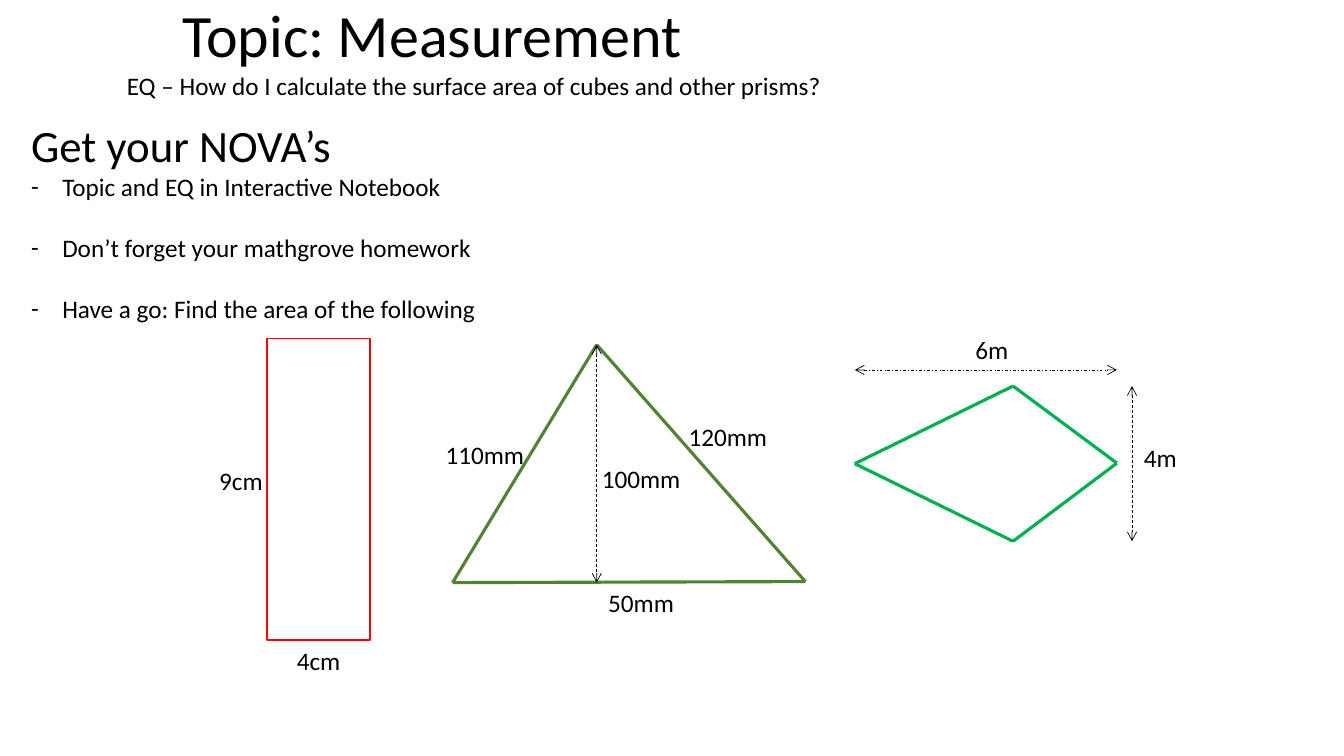
from itertools import pairwise
from lxml.etree import SubElement
from pptx import Presentation
from pptx.dml.color import RGBColor
from pptx.enum.dml import MSO_LINE
from pptx.enum.shapes import MSO_CONNECTOR, MSO_SHAPE
from pptx.enum.text import MSO_ANCHOR, PP_ALIGN
from pptx.oxml.ns import qn
from pptx.util import Inches, Pt

COLORS = {"ink": "000000", "paper": "FFFFFF", "rectangle": "FF0000",
          "triangle": "548235", "kite": "00B050"}
FONT = "Calibri"
COLS, ROWS = 133.33, 75
CELL = Inches(0.1)

TITLE = ("Topic: Measurement", (17.1, -0.8, 100, 9.2), 42.9)
QUESTION = ("EQ – How do I calculate the surface area of cubes and other prisms?",
            (11.6, 6.5, 93.8, 4), 18)
HEADING = ("Get your NOVA’s", (2.1, 11.2, 127.4, 21.5), 32)
TASKS = ["Topic and EQ in Interactive Notebook",
         "Don’t forget your mathgrove homework",
         "Have a go: Find the area of the following"]

RECTANGLE = (26.5, 33.6, 10.2, 29.9)
APEX, BASE_LEFT, BASE_RIGHT = (59.2, 34.2), (44.9, 57.8), (79.9, 57.7)
KITE_LEFT, KITE_TOP, KITE_RIGHT, KITE_BOTTOM = (
    (84.8, 46), (100.5, 38.3), (110.8, 45.95), (100.5, 53.7))
OUTLINES = [
    ("triangle", [APEX, BASE_RIGHT, BASE_LEFT, APEX]),
    ("kite", [KITE_LEFT, KITE_TOP, KITE_RIGHT, KITE_BOTTOM, KITE_LEFT]),
]
DIMENSIONS = [
    (APEX, (APEX[0], BASE_LEFT[1]), MSO_LINE.DASH),
    ((112.3, KITE_TOP[1]), (112.3, KITE_BOTTOM[1]), MSO_LINE.DASH),
    ((KITE_LEFT[0], 36.7), (KITE_RIGHT[0], 36.7), MSO_LINE.DASH_DOT),
]
LABEL_SIZE = (10.2, 4)
LABELS = [("4cm", 26.5, 63.5), ("9cm", 18.8, 45.7), ("50mm", 58.5, 57.8),
          ("110mm", 43, 43.1), ("120mm", 67.1, 41.3), ("100mm", 58.5, 45.5),
          ("6m", 93.3, 32.7), ("4m", 110, 43.4)]


def grid(*cells):
    return [round(c * CELL) for c in cells]


def color(name):
    return RGBColor.from_string(COLORS[name])


def style(p, size):
    for r in p.runs:
        r.font.name, r.font.size = FONT, Pt(size)
        r.font.color.rgb = color("ink")


def add_text(slide, text, box, size, align=PP_ALIGN.LEFT):
    tf = slide.shapes.add_textbox(*grid(*box)).text_frame
    tf.word_wrap = True
    p = tf.paragraphs[0]
    p.text, p.alignment = text, align
    style(p, size)
    return tf


def add_line(slide, start, end, name, width):
    line = slide.shapes.add_connector(MSO_CONNECTOR.STRAIGHT, *grid(*start, *end))
    line.line.color.rgb = color(name)
    line.line.width = Pt(width)
    SubElement(line._element.spPr, qn("a:effectLst"))
    return line


def add_dimension(slide, start, end, dash):
    line = add_line(slide, start, end, "ink", 0.5)
    line.line.dash_style = dash
    ln = line.line._get_or_add_ln()
    for tag in ("a:headEnd", "a:tailEnd"):
        SubElement(ln, qn(tag), type="arrow")


def add_task(tf, text):
    p = tf.add_paragraph()
    p.text = text
    pPr = p._p.get_or_add_pPr()
    indent = Inches(0.31)
    pPr.set("marL", str(indent))
    pPr.set("indent", str(-indent))
    SubElement(pPr, qn("a:buFont"), typeface=FONT)
    SubElement(pPr, qn("a:buChar"), char="-")
    style(p, 18)
    return p


def main():
    prs = Presentation()
    prs.slide_width, prs.slide_height = grid(COLS, ROWS)
    slide = prs.slides.add_slide(prs.slide_layouts[6])

    sp = slide.shapes.add_shape(MSO_SHAPE.RECTANGLE, *grid(*RECTANGLE))
    sp.shadow.inherit = False
    sp.fill.solid()
    sp.fill.fore_color.rgb = color("paper")
    sp.line.color.rgb = color("rectangle")
    sp.line.width = Pt(1)

    for name, corners in OUTLINES:
        for start, end in pairwise(corners):
            add_line(slide, start, end, name, 2.25)
    for dimension in DIMENSIONS:
        add_dimension(slide, *dimension)
    for text, left, top in LABELS:
        add_text(slide, text, (left, top, *LABEL_SIZE), 18, PP_ALIGN.CENTER)

    tf = add_text(slide, *TITLE)
    tf.vertical_anchor = MSO_ANCHOR.MIDDLE
    tf.paragraphs[0].line_spacing = 0.9
    add_text(slide, *QUESTION)
    tf = add_text(slide, *HEADING)
    for i, task in enumerate(TASKS):
        p = add_task(tf, task)
        if i:
            p.space_before = Pt(22)

    prs.save("out.pptx")


if __name__ == "__main__":
    main()
